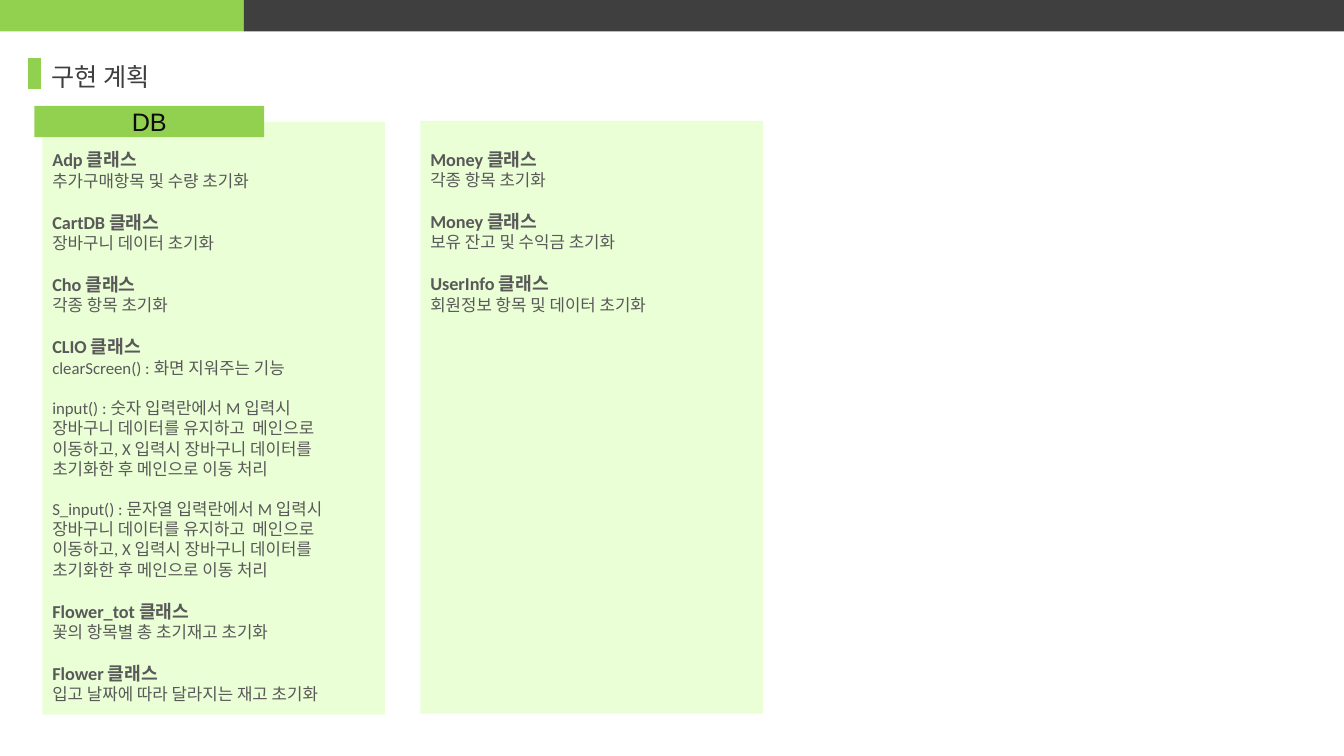
from dataclasses import dataclass

from lxml import etree
from pptx import Presentation
from pptx import util as u
from pptx.dml.color import RGBColor
from pptx.enum import shapes, text
from pptx.oxml import ns


@dataclass(frozen=True)
class Theme:
    green: str = "92D050"
    panel: str = "CCFF99"
    charcoal: str = "3F3F3F"
    label: str = "0C0C0C"
    body: str = "595959"
    panel_alpha: int = 40
    title_font: str = "Arial"
    body_font: str = "Calibri"
    title_size: int = 18
    heading_size: int = 13
    body_size: int = 12
    entry_gap: float = 14.5


THEME = Theme()

INPUT_RULE = (
    "입력란에서 M 입력시 장바구니 데이터를 유지하고  메인으로 이동하고, "
    "X 입력시 장바구니 데이터를 초기화한 후 메인으로 이동 처리"
)
LEFT_CLASSES = [
    ("Adp", ["추가구매항목 및 수량 초기화"]),
    ("CartDB", ["장바구니 데이터 초기화"]),
    ("Cho", ["각종 항목 초기화"]),
    ("CLIO", [
        "clearScreen() : 화면 지워주는 기능",
        f"input() : 숫자 {INPUT_RULE}",
        f"S_input() : 문자열 {INPUT_RULE}",
    ]),
    ("Flower_tot", ["꽃의 항목별 총 초기재고 초기화"]),
    ("Flower", ["입고 날짜에 따라 달라지는 재고 초기화"]),
]
RIGHT_CLASSES = [
    ("Money", ["각종 항목 초기화"]),
    ("Money", ["보유 잔고 및 수익금 초기화"]),
    ("UserInfo", ["회원정보 항목 및 데이터 초기화"]),
]


def points(values):
    return [u.Pt(value) for value in values]


def add_rectangle(slide, box, color, alpha=100):
    shape = slide.shapes.add_shape(shapes.MSO_SHAPE.RECTANGLE, *points(box))
    shape.shadow.inherit = False
    shape.fill.solid()
    shape.fill.fore_color.rgb = RGBColor.from_string(color)
    shape.line.fill.background()
    if alpha < 100:
        fill_color = shape.fill._xPr.find(ns.qn("a:solidFill"))[0]
        etree.SubElement(fill_color, ns.qn("a:alpha"), val=str(alpha * 1000))
    return shape


def add_marker(slide, left, top, bottom, width):
    marker = slide.shapes.add_connector(
        shapes.MSO_CONNECTOR.STRAIGHT, *points((left, top, left, bottom))
    )
    marker.line.color.rgb = RGBColor.from_string(THEME.green)
    marker.line.width = u.Pt(width)
    etree.SubElement(marker._element.spPr, ns.qn("a:effectLst"))


def set_frame(shape, horizontal=7.2, vertical=3.6):
    frame = shape.text_frame
    frame.word_wrap = True
    frame.vertical_anchor = text.MSO_ANCHOR.MIDDLE
    frame.margin_left = frame.margin_right = u.Pt(horizontal)
    frame.margin_top = frame.margin_bottom = u.Pt(vertical)
    return frame


def add_run(paragraph, words, font, size, color, bold=False):
    run = paragraph.add_run()
    run.text = words
    run.font.name = font
    run.font.size = u.Pt(size)
    run.font.bold = bold
    run.font.color.rgb = RGBColor.from_string(color)


def add_title(slide, box, words):
    frame = set_frame(slide.shapes.add_textbox(*points(box)), 0, 0)
    add_run(frame.paragraphs[0], words, THEME.title_font, THEME.title_size, THEME.charcoal)


def add_label(slide, box, words):
    frame = set_frame(add_rectangle(slide, box, THEME.green))
    paragraph = frame.paragraphs[0]
    paragraph.alignment = text.PP_ALIGN.CENTER
    add_run(paragraph, words, THEME.title_font, THEME.title_size, THEME.label)


def add_class_list(slide, box, classes):
    frame = set_frame(slide.shapes.add_textbox(*points(box)))
    for class_index, (name, descriptions) in enumerate(classes):
        heading = frame.add_paragraph() if class_index else frame.paragraphs[0]
        heading.space_before = u.Pt(THEME.entry_gap if class_index else 0)
        add_run(heading, f"{name} 클래스", THEME.body_font, THEME.heading_size, THEME.body, True)
        for line_index, description in enumerate(descriptions):
            paragraph = frame.add_paragraph()
            paragraph.space_before = u.Pt(THEME.entry_gap if line_index else 0)
            add_run(paragraph, description, THEME.body_font, THEME.body_size, THEME.body)


def main():
    presentation = Presentation()
    presentation.slide_width = u.Pt(960)
    presentation.slide_height = u.Pt(540)
    slide = presentation.slides.add_slide(presentation.slide_layouts[6])

    for left, top in ((300.24, 86.4), (30.24, 87.12)):
        add_rectangle(slide, (left, top, 244.8, 423.36), THEME.panel, THEME.panel_alpha)

    accent_width, bar_height = 174.24, 22.4
    add_rectangle(slide, (0, 0, accent_width, bar_height), THEME.green)
    add_rectangle(slide, (accent_width, 0, 960 - accent_width, bar_height), THEME.charcoal)

    add_title(slide, (37, 23, 334, 63.4), "구현 계획")
    add_marker(slide, 24.5, 41.75, 63.4, 9)
    add_label(slide, (24.5, 75.6, 164.2, 22.4), "DB")

    add_class_list(slide, (30.24, 109.4, 229, 390.3), LEFT_CLASSES)
    add_class_list(slide, (300.24, 94.3, 272.9, 141.8), RIGHT_CLASSES)

    presentation.save("out.pptx")


main()
